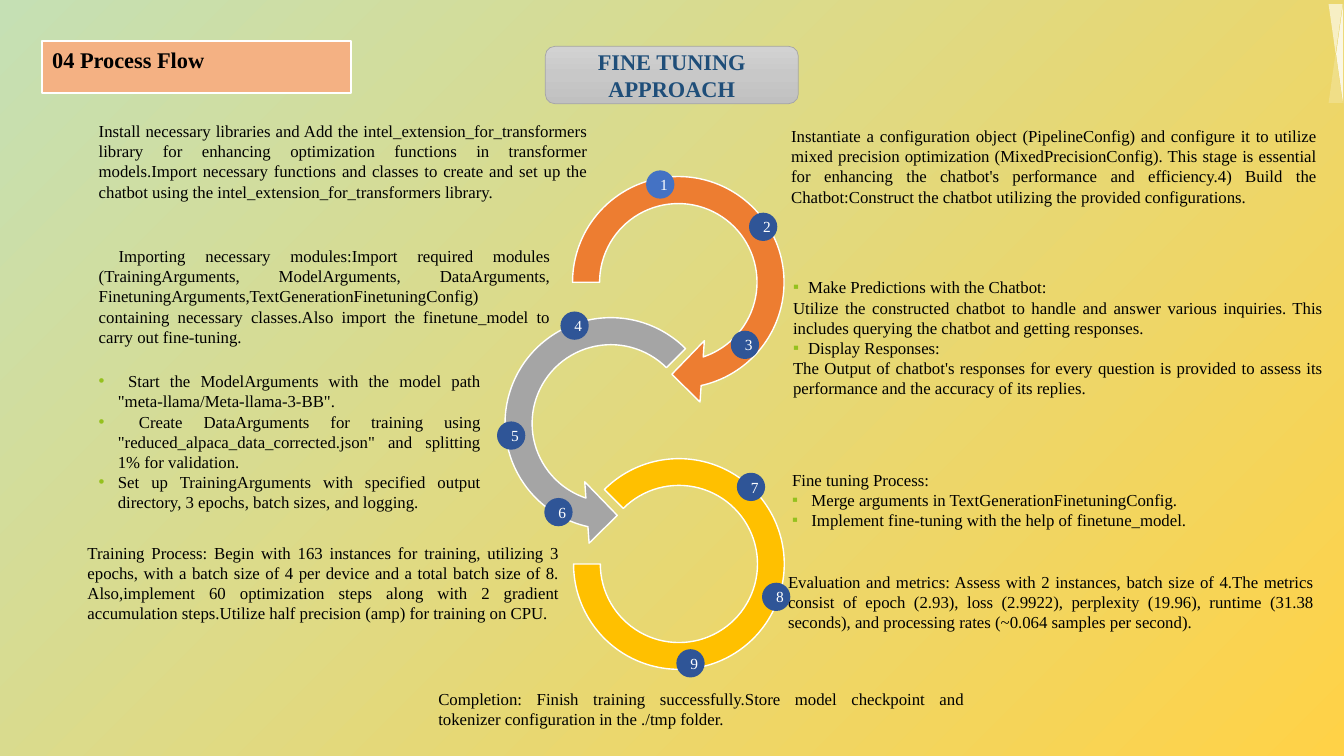
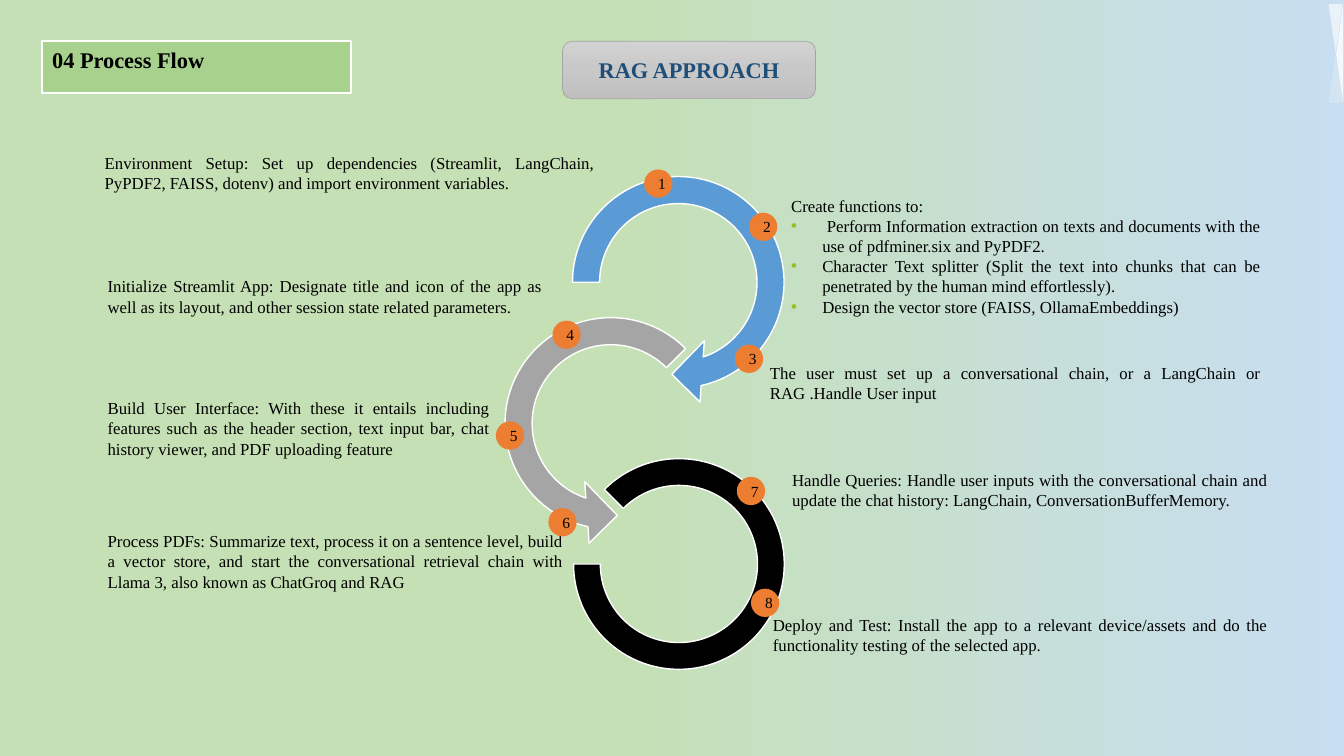
import collections

import lxml.etree
import pptx
import pptx.dml.color
import pptx.enum.shapes
import pptx.enum.text
import pptx.oxml.ns
import pptx.util

Pt = pptx.util.Pt
RGB = pptx.dml.color.RGBColor
SHAPE = pptx.enum.shapes.MSO_SHAPE
ALIGN = pptx.enum.text.PP_ALIGN
ANCHOR = pptx.enum.text.MSO_ANCHOR
qn = pptx.oxml.ns.qn

FONT = "Times New Roman"
BLACK = RGB(0, 0, 0)
WHITE = RGB(255, 255, 255)
ORANGE = RGB(0xED, 0x7D, 0x31)
PEACH = RGB(0xF4, 0xB1, 0x83)
GOLD = RGB(0xFF, 0xC0, 0x00)
SUN = RGB(0xFF, 0xD2, 0x47)
GRAY = RGB(0xA5, 0xA5, 0xA5)
SKY = RGB(0x5B, 0x9B, 0xD5)
PALE_BLUE = RGB(0xC8, 0xDE, 0xF1)
BLUE = RGB(0x44, 0x72, 0xC4)
DARK_BLUE = RGB(0x2F, 0x55, 0x97)
NAVY = RGB(0x1F, 0x4E, 0x79)
PALE_GREEN = RGB(0xC5, 0xE0, 0xB4)
GREEN = RGB(0xA9, 0xD1, 0x8E)
LIME = RGB(0x95, 0xC1, 0x1E)
SILVERS = (RGB(0xD2, 0xD2, 0xD2), RGB(0xC8, 0xC8, 0xC8), RGB(0xC0, 0xC0, 0xC0))

LINE_HEIGHT = 14.4
BADGE_SIZE = 20.2
CHAIN_BOX = (348.5, 113.8)

Bullet = collections.namedtuple("Bullet", "mark indent text")
Note = collections.namedtuple("Note", "left top width lines paragraphs")


def add_tag(parent, tag, **attributes):
    child = lxml.etree.SubElement(parent, qn(tag))
    for key, value in attributes.items():
        child.set(key, str(value))
    return child


def set_alpha(color_element, percent):
    add_tag(color_element, "a:alpha", val=percent * 1000)


def set_gradient(fill, owner, stops, angle=None):
    fill.gradient()
    gradient = owner.find(".//" + qn("a:gradFill"))
    for child in list(gradient):
        gradient.remove(child)
    stop_list = add_tag(gradient, "a:gsLst")
    for position, color, alpha in stops:
        stop = add_tag(stop_list, "a:gs", pos=position * 1000)
        tint = add_tag(stop, "a:srgbClr", val=color)
        if alpha < 100:
            set_alpha(tint, alpha)
    if angle is None:
        circle = add_tag(gradient, "a:path", path="circle")
        add_tag(circle, "a:fillToRect", l=100000, t=100000)
    else:
        add_tag(gradient, "a:lin", ang=angle * 60000, scaled=0)


def add_plain(slide, preset, left, top, width, height, color=None, outline=None, weight=1):
    shape = slide.shapes.add_shape(preset, Pt(left), Pt(top), Pt(width), Pt(height))
    shape.shadow.inherit = False
    if color is not None:
        shape.fill.solid()
        shape.fill.fore_color.rgb = color
    if outline is None:
        shape.line.fill.background()
    else:
        shape.line.color.rgb = outline
        shape.line.width = Pt(weight)
    return shape


def style(paragraph, size, color, align, bold=False):
    paragraph.alignment = align
    paragraph.font.name = FONT
    paragraph.font.size = Pt(size)
    paragraph.font.color.rgb = color
    paragraph.font.bold = bold


def label(shape, text, size, color, align=ALIGN.CENTER, bold=False):
    shape.text_frame.text = text
    style(shape.text_frame.paragraphs[0], size, color, align, bold)


def add_section_band(slide, left, top, color):
    band = add_plain(slide, SHAPE.RECTANGLE, left, top, 220.3, 36.7, color, WHITE, 1.5)
    frame = band.text_frame
    frame.vertical_anchor = ANCHOR.TOP
    frame.margin_left = frame.margin_bottom = Pt(7.2)
    frame.margin_top = frame.margin_right = Pt(5.8)
    label(band, "04 Process Flow", 16, BLACK, ALIGN.LEFT, True)
    frame.paragraphs[0].line_spacing = 0.9


def add_approach_title(slide, left, top, text):
    plate = add_plain(slide, SHAPE.ROUNDED_RECTANGLE, left, top, 180.7, 41, None, GRAY, 0.5)
    stops = [(50 * i, color, 100) for i, color in enumerate(SILVERS)]
    set_gradient(plate.fill, plate._element.spPr, stops, 90)
    label(plate, text, 16, NAVY, bold=True)


def add_corner_fold(slide, left, top):
    for dx, dy, width, height, turn, flips, alpha in (
        (0, 35.3, 10, 35.3, 0, ("flipH",), 20),
        (0, 0, 10, 35.3, 0, ("flipH", "flipV"), 60),
        (-27.4, 33.1, 70.6, 5, 90, ("flipH", "flipV"), 81),
    ):
        fold = add_plain(slide, SHAPE.ISOSCELES_TRIANGLE, left + dx, top + dy, width, height, WHITE)
        fold.rotation = turn
        properties = fold._element.spPr
        for flip in flips:
            properties.find(qn("a:xfrm")).set(flip, "1")
        set_alpha(properties.find(qn("a:solidFill")).find(qn("a:srgbClr")), alpha)


def add_arrow_chain(slide, left, top, first_color, last_color):
    for preset, dx, dy, size, color, adjustments in (
        (SHAPE.CIRCULAR_ARROW, 48.2, 0, 175.7, first_color, (0.11, 11.423, 45, 108, 0.125)),
        (SHAPE.LEFT_CIRCULAR_ARROW, 0, 100.8, 175.7, GRAY, (0.11, 11.423, 63, 189, 0.125)),
        (SHAPE.BLOCK_ARC, 61.2, 213.8, 150.5, last_color, (135, 108, 0.127)),
    ):
        ring = add_plain(slide, preset, left + dx, top + dy, size, size, color, WHITE)
        for i, value in enumerate(adjustments):
            ring.adjustments[i] = value


def add_badges(slide, left, top, offsets, colors, text_color):
    for number, (dx, dy) in enumerate(offsets, 1):
        color = colors[min(number, len(colors)) - 1]
        badge = add_plain(slide, SHAPE.OVAL, left + dx, top + dy, BADGE_SIZE, BADGE_SIZE, color)
        label(badge, str(number), 11, text_color)


def add_bullet(paragraph, bullet):
    properties = paragraph._p.get_or_add_pPr()
    properties.set("marL", str(Pt(bullet.indent)))
    properties.set("indent", str(-Pt(bullet.indent)))
    add_tag(add_tag(properties, "a:buClr"), "a:srgbClr", val=LIME)
    add_tag(properties, "a:buFont", typeface="Arial")
    add_tag(properties, "a:buChar", char=bullet.mark)


def add_note(slide, note):
    height = note.lines * LINE_HEIGHT + 7.2
    frame = slide.shapes.add_textbox(Pt(note.left), Pt(note.top), Pt(note.width), Pt(height)).text_frame
    frame.word_wrap = True
    frame.auto_size = pptx.enum.text.MSO_AUTO_SIZE.SHAPE_TO_FIT_TEXT
    for i, item in enumerate(note.paragraphs):
        paragraph = frame.add_paragraph() if i else frame.paragraphs[0]
        if isinstance(item, Bullet):
            add_bullet(paragraph, item)
            item = item.text
        paragraph.text = item
        style(paragraph, 12, BLACK, ALIGN.JUSTIFY)


def add_flow_slide(deck, backdrop, angle, band_color, title, title_box, ring_colors,
                   notes, offsets, badge_colors, number_color):
    slide = deck.slides.add_slide(deck.slide_layouts[6])
    set_gradient(slide.background.fill, slide._element, backdrop, angle)
    add_arrow_chain(slide, *CHAIN_BOX, *ring_colors)
    for note in notes:
        add_note(slide, note)
    add_badges(slide, *CHAIN_BOX, offsets, badge_colors, number_color)
    add_section_band(slide, 30.2, 29.5, band_color)
    add_corner_fold(slide, 949, 2.9)
    add_approach_title(slide, *title_box, title)


TUNING_NOTES = [
    Note(63.4, 82.8, 363.6, 4, [
        "Install necessary libraries and Add the intel_extension_for_transformers library for enhancing "
        "optimization functions in transformer models.Import necessary functions and classes to create "
        "and set up the chatbot using the intel_extension_for_transformers library."]),
    Note(558, 86.4, 390.2, 4, [
        "Instantiate a configuration object (PipelineConfig) and configure it to utilize mixed precision "
        "optimization (MixedPrecisionConfig). This stage is essential for enhancing the chatbot's "
        "performance and efficiency.4) Build the Chatbot:Construct the chatbot utilizing the provided "
        "configurations."]),
    Note(559.4, 194.4, 393.1, 6, [
        Bullet("▪", 10.8, "Make Predictions with the Chatbot:"),
        "Utilize the constructed chatbot to handle and answer various inquiries. This includes querying "
        "the chatbot and getting responses.",
        Bullet("▪", 10.8, "Display Responses:"),
        "The Output of chatbot's responses for every question is provided to assess its performance and "
        "the accuracy of its replies."]),
    Note(63.4, 172.1, 337, 5, [
        " Importing necessary modules:Import required modules (TrainingArguments, ModelArguments, "
        "DataArguments, FinetuningArguments,TextGenerationFinetuningConfig) containing necessary "
        "classes.Also import the finetune_model to carry out fine-tuning."]),
    Note(63.4, 261.4, 287.3, 7, [
        Bullet("•", 13.7, " Start the ModelArguments with the model path \"meta-llama/Meta-llama-3-BB\"."),
        Bullet("•", 13.7, " Create DataArguments for training using \"reduced_alpaca_data_corrected.json\" "
                          "and splitting 1% for validation."),
        Bullet("•", 13.7, "Set up TrainingArguments with specified output directory, 3 epochs, batch "
                          "sizes, and logging.")]),
    Note(55.4, 383.8, 351.4, 4, [
        "Training Process: Begin with 163 instances for training, utilizing 3 epochs, with a batch size "
        "of 4 per device and a total batch size of 8. Also,implement 60 optimization steps along with 2 "
        "gradient accumulation steps.Utilize half precision (amp) for training on CPU."]),
    Note(558.7, 331.9, 390.2, 3, [
        "Fine tuning Process:",
        Bullet("▪", 10.8, " Merge arguments in TextGenerationFinetuningConfig."),
        Bullet("▪", 10.8, " Implement fine-tuning with the help of finetune_model.")]),
    Note(555.8, 404.6, 390.2, 3, [
        "Evaluation and metrics: Assess with 2 instances, batch size of 4.The metrics consist of epoch "
        "(2.93), loss (2.9922), perplexity (19.96), runtime (31.38 seconds), and processing rates "
        "(~0.064 samples per second)."]),
    Note(306, 488.2, 390.2, 2, [
        "Completion: Finish training successfully.Store model checkpoint and tokenizer configuration in "
        "the ./tmp folder."]),
]
TUNING_BADGES = [(113, 7.9), (186.5, 38.1), (173.5, 122.4), (51.8, 108.7), (6.5, 187.2),
                 (40.3, 241.9), (177.8, 223.9), (195.8, 302.4), (134.6, 349.9)]

RAG_NOTES = [
    Note(67.7, 105.8, 364.3, 2, [
        "Environment Setup: Set up dependencies (Streamlit, LangChain, PyPDF2, FAISS, dotenv) and import "
        "environment variables."]),
    Note(558, 136.1, 349.9, 6, [
        "Create functions to:",
        Bullet("•", 22.3, " Perform Information extraction on texts and documents with the use of "
                          "pdfminer.six and PyPDF2."),
        Bullet("•", 22.3, "Character Text splitter (Split the text into chunks that can be penetrated by "
                          "the human mind effortlessly)."),
        Bullet("•", 22.3, "Design the vector store (FAISS, OllamaEmbeddings)")]),
    Note(542.9, 255.6, 365, 2, [
        "The user must set up a conversational chain, or a LangChain or RAG .Handle User input"]),
    Note(69.8, 193.7, 324.7, 2, [
        "Initialize Streamlit App: Designate title and icon of the app as well as its layout, and other "
        "session state related parameters."]),
    Note(69.8, 280.8, 287.3, 3, [
        "Build User Interface: With these it entails including features such as the header section, text "
        "input bar, chat history viewer, and PDF uploading feature"]),
    Note(69.8, 375.8, 339.8, 3, [
        "Process PDFs: Summarize text, process it on a sentence level, build a vector store, and start "
        "the conversational retrieval chain with Llama 3, also known as ChatGroq and RAG"]),
    Note(558.7, 331.9, 354.2, 2, [
        "Handle Queries: Handle user inputs with the conversational chain and update the chat history: "
        "LangChain, ConversationBufferMemory."]),
    Note(545, 435.6, 367.9, 2, [
        "Deploy and Test: Install the app to a relevant device/assets and do the functionality testing "
        "of the selected app."]),
]
RAG_BADGES = [(111.6, 7.2), (186.5, 38.1), (176.4, 132.4), (46.1, 115.2), (5.7, 187.2),
              (43.2, 249.1), (177.8, 226.8), (187.9, 306.7)]


def main():
    deck = pptx.Presentation()
    deck.slide_width, deck.slide_height = Pt(960), Pt(540)
    add_flow_slide(deck, [(0, SUN, 87), (100, PALE_GREEN, 100)], None, PEACH,
                   "FINE TUNING APPROACH", (389.5, 33.1), (ORANGE, GOLD),
                   TUNING_NOTES, TUNING_BADGES, (BLUE, DARK_BLUE), WHITE)
    add_flow_slide(deck, [(45, PALE_GREEN, 100), (100, PALE_BLUE, 100)], 0, GREEN,
                   "RAG APPROACH", (401.8, 29.5), (SKY, BLACK),
                   RAG_NOTES, RAG_BADGES, (ORANGE,), BLACK)
    deck.save("out.pptx")


if __name__ == "__main__":
    main()
